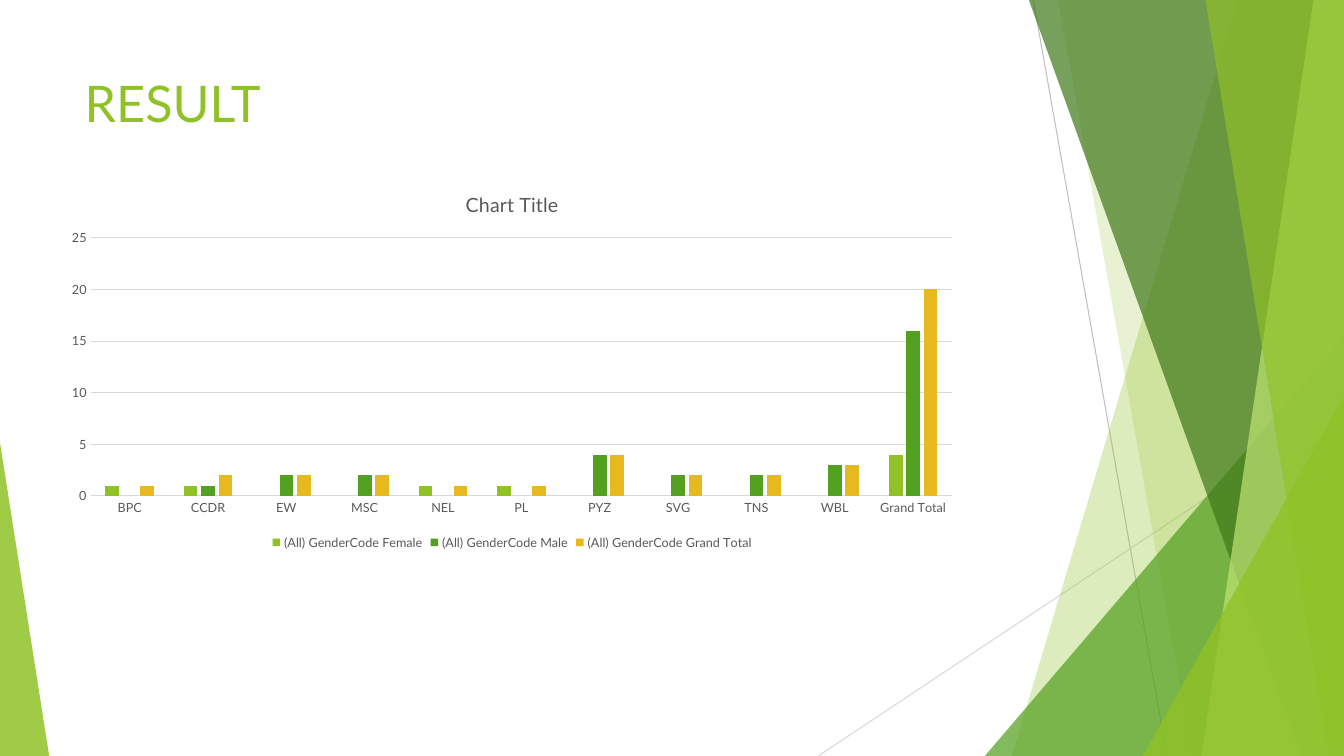
from pptx import Presentation
from pptx.chart.data import CategoryChartData
from pptx.dml.color import RGBColor
from pptx.enum.chart import XL_CHART_TYPE, XL_LEGEND_POSITION, XL_TICK_MARK
from pptx.enum.shapes import MSO_CONNECTOR, MSO_SHAPE
from pptx.enum.text import MSO_ANCHOR, PP_ALIGN
from pptx.oxml.ns import qn
from pptx.util import Cm, Pt
from lxml.etree import SubElement

LIME = RGBColor(0x90, 0xC2, 0x26)
GREEN = RGBColor(0x54, 0xA0, 0x21)
FOREST = RGBColor(0x3F, 0x78, 0x19)
PALE = RGBColor(0xC0, 0xE4, 0x74)
GOLD = RGBColor(0xE6, 0xB9, 0x1E)
TEXT = RGBColor(0x59, 0x59, 0x59)
GRID = RGBColor(0xD9, 0xD9, 0xD9)
GREY = RGBColor(0xBF, 0xBF, 0xBF)
FONT = "Lato"
WIDE, HIGH = 33.87, 19.05

CODES = ["BPC", "CCDR", "EW", "MSC", "NEL", "PL", "PYZ", "SVG", "TNS", "WBL", "Grand Total"]
COUNTS = [
    ("Female", LIME, [1, 1, None, None, 1, 1, None, None, None, None, 4]),
    ("Male", GREEN, [None, 1, 2, 2, None, None, 4, 2, 2, 3, 16]),
    ("Grand Total", GOLD, [1, 2, 2, 2, 1, 1, 4, 2, 2, 3, 20]),
]


def style(font, size, color):
    font.name = FONT
    font.size = Pt(size)
    font.bold = False
    font.color.rgb = color


def paint(shape, color, alpha):
    shape.shadow.inherit = False
    shape.fill.solid()
    shape.fill.fore_color.rgb = color
    shape.line.fill.background()
    for node in shape.element.iter(qn("a:srgbClr")):
        SubElement(node, qn("a:alpha")).set("val", str(alpha * 1000))


def add_ray(slide, start, end, color):
    ray = slide.shapes.add_connector(
        MSO_CONNECTOR.STRAIGHT, *(Cm(v) for v in start + end))
    ray.line.color.rgb = color
    ray.line.width = Pt(0.75)
    SubElement(ray.element.spPr, qn("a:effectLst"))


def add_panel(slide, top, base, color, alpha):
    pen = slide.shapes.build_freeform(Cm(top), 0)
    pen.add_line_segments([(Cm(WIDE), 0), (Cm(WIDE), Cm(HIGH)), (Cm(base), Cm(HIGH))])
    paint(pen.convert_to_shape(), color, alpha)


def add_wedge(slide, left, top, width, peak, color, alpha):
    wedge = slide.shapes.add_shape(
        MSO_SHAPE.ISOSCELES_TRIANGLE, Cm(left), Cm(top), Cm(width), Cm(HIGH - top))
    wedge.adjustments[0] = peak
    paint(wedge, color, alpha)


def add_facets(slide):
    add_ray(slide, (26.04, 0), (29.41, HIGH), GREY)
    add_ray(slide, (WIDE, 10.24), (20.62, HIGH), GRID)
    add_panel(slide, 31.19, 25.5, LIME, 30)
    add_panel(slide, 26.67, 30.05, LIME, 20)
    add_wedge(slide, 24.82, 8.46, WIDE - 24.82, 1, GREEN, 72)
    add_panel(slide, 25.93, 32.79, FOREST, 70)
    add_panel(slide, 33.1, 30.28, PALE, 70)
    add_panel(slide, 30.38, 33.48, LIME, 65)
    add_wedge(slide, 28.8, 9.98, WIDE - 28.8, 1, LIME, 80)
    add_wedge(slide, 0, 11.15, 1.24, 0, LIME, 85)


def set_title(slide, left, top, width, height):
    title = slide.shapes.title
    title.left, title.top = Cm(left), Cm(top)
    title.width, title.height = Cm(width), Cm(height)
    frame = title.text_frame
    frame.text = "RESULT"
    frame.vertical_anchor = MSO_ANCHOR.TOP
    line = frame.paragraphs[0]
    line.alignment = PP_ALIGN.LEFT
    style(line.runs[0].font, 36, LIME)


def add_counts(slide, left, top, width, height):
    data = CategoryChartData()
    data.categories = CODES
    for name, _, values in COUNTS:
        data.add_series(f"(All) GenderCode {name}", values)
    chart = slide.shapes.add_chart(
        XL_CHART_TYPE.COLUMN_CLUSTERED, Cm(left), Cm(top), Cm(width), Cm(height), data).chart
    style(chart.font, 10, TEXT)

    chart.has_title = True
    frame = chart.chart_title.text_frame
    frame.text = "Chart Title"
    style(frame.paragraphs[0].runs[0].font, 14, TEXT)
    chart.chart_title.include_in_layout = False

    chart.has_legend = True
    chart.legend.position = XL_LEGEND_POSITION.BOTTOM
    chart.legend.include_in_layout = False
    style(chart.legend.font, 9, TEXT)

    plot = chart.plots[0]
    plot.vary_by_categories = False
    plot.gap_width = 219
    plot.overlap = -27
    for series, (_, color, _) in zip(plot.series, COUNTS):
        series.format.fill.solid()
        series.format.fill.fore_color.rgb = color

    for axis in (chart.category_axis, chart.value_axis):
        axis.major_tick_mark = axis.minor_tick_mark = XL_TICK_MARK.NONE
        style(axis.tick_labels.font, 9, TEXT)
    values = chart.value_axis
    values.minimum_scale, values.maximum_scale, values.major_unit = 0, 25, 5
    values.format.line.fill.background()
    for line in (chart.category_axis.format.line, values.major_gridlines.format.line):
        line.color.rgb = GRID
        line.width = Pt(0.75)


def main():
    deck = Presentation()
    deck.slide_width, deck.slide_height = Cm(WIDE), Cm(HIGH)
    slide = deck.slides.add_slide(deck.slide_layouts[5])
    add_facets(slide)
    set_title(slide, 1.88, 1.7, 23.88, 3.66)
    add_counts(slide, 1.35, 4.37, 23.11, 9.6)
    deck.save("out.pptx")


if __name__ == "__main__":
    main()
